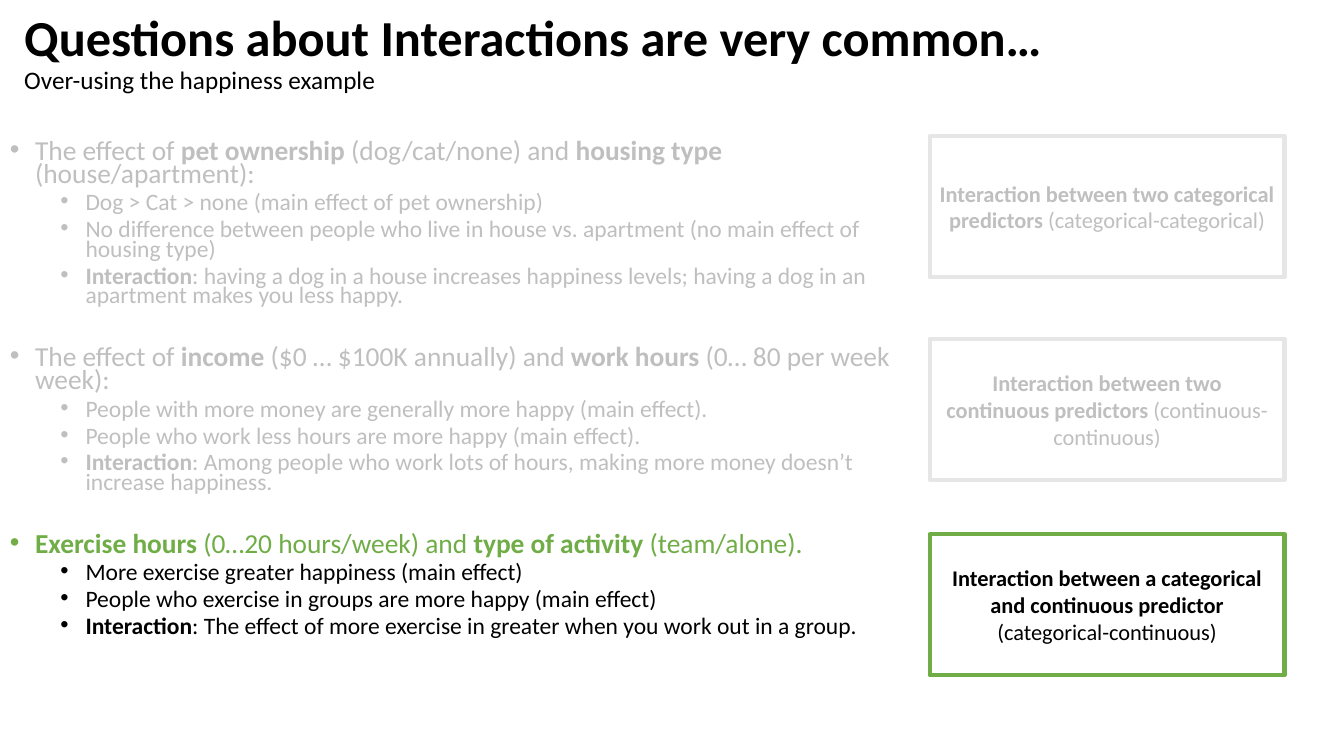
"""Builds a slide on interaction effects between pairs of predictors of happiness."""
from copy import deepcopy

from lxml import etree
from pptx import Presentation
from pptx.dml.color import RGBColor
from pptx.enum.shapes import MSO_SHAPE
from pptx.enum.text import MSO_ANCHOR, MSO_AUTO_SIZE, PP_ALIGN
from pptx.oxml.ns import qn
from pptx.util import Pt

RECT = MSO_SHAPE.RECTANGLE
MIDDLE = MSO_ANCHOR.MIDDLE
NO_FIT = MSO_AUTO_SIZE.NONE
LEFT, CENTER = PP_ALIGN.LEFT, PP_ALIGN.CENTER
PX = 9144
COLORS = {"black": "000000", "white": "FFFFFF", "muted": "BFBFBF",
          "border": "E7E6E6", "green": "70AD47"}

QUESTIONS = [
    {"head": "The effect of *pet ownership *(dog/cat/none) and *housing type *(house/apartment):",
     "points": ["Dog > Cat > none (main effect of pet ownership)",
                "No difference between people who live in house vs. apartment "
                "(no main effect of housing type)",
                "*Interaction*: having a dog in a house increases happiness levels; "
                "having a dog in an apartment makes you less happy."],
     "label": "*Interaction between two categorical predictors *(categorical-categorical)",
     "top": 135, "head_color": "muted", "color": "muted", "line": "border"},
    {"head": "The effect of *income* ($0 … $100K annually) and *work hours *(0… 80 per week week):",
     "points": ["People with more money are generally more happy (main effect).",
                "People who work less hours are more happy (main effect).",
                "*Interaction*: Among people who work lots of hours, "
                "making more money doesn’t increase happiness."],
     "label": "*Interaction between two continuous predictors *(continuous-continuous)",
     "top": 336, "head_color": "muted", "color": "muted", "line": "border"},
    {"head": "*Exercise hours *(0…20 hours/week) and *type of activity *(team/alone).",
     "points": ["More exercise greater happiness (main effect)",
                "People who exercise in groups are more happy (main effect)",
                "*Interaction*: The effect of more exercise in greater "
                "when you work out in a group."],
     "label": "*Interaction between a categorical and continuous predictor *(categorical-continuous)",
     "top": 530, "head_color": "green", "color": "black", "line": "green"},
]


def add_runs(p, text, size, color):
    """Add text to a paragraph, with the parts between asterisks in bold."""
    for i, part in enumerate(text.split("*")):
        if part:
            r = p.add_run()
            r.text = part
            r.font.color.rgb = RGBColor.from_string(COLORS[color])
            for name, value in {"name": "Calibri", "size": Pt(size), "bold": i % 2 == 1}.items():
                setattr(r.font, name, value)


def add_bullet(tf, text, level, size, color, before):
    """Add a bulleted paragraph to a text frame."""
    p = tf.add_paragraph() if tf.paragraphs[0].runs else tf.paragraphs[0]
    pPr = p._p.get_or_add_pPr()
    pPr.set("marL", str((25 + 50 * level) * PX))
    pPr.set("indent", str(-25 * PX))
    etree.SubElement(pPr, qn("a:buFont")).set("typeface", "Arial")
    etree.SubElement(pPr, qn("a:buChar")).set("char", "•")
    for name, value in {"level": level, "alignment": LEFT, "line_spacing": 0.7,
                        "space_before": Pt(before)}.items():
        setattr(p, name, value)
    add_runs(p, text, size, color)


prs = Presentation()
prs.slide_width, prs.slide_height = 1333 * PX, 750 * PX
s = prs.slides.add_slide(prs.slide_layouts[5])

title = s.shapes.title
title.left, title.top, title.width, title.height = 14 * PX, 0, 1233 * PX, 107 * PX
tf = title.text_frame
for name, value in {"word_wrap": True, "auto_size": NO_FIT, "vertical_anchor": MIDDLE}.items():
    setattr(tf, name, value)
p = tf.paragraphs[0]
p.alignment, p.line_spacing, p.space_before = LEFT, 0.9, Pt(0)
add_runs(p, "*Questions about Interactions are very common…*", 36, "black")
p.add_line_break()
p._p.find(qn("a:br")).append(deepcopy(p.runs[0]._r.rPr))
add_runs(p, "Over-using the happiness example", 18, "black")

body = s.shapes.add_textbox(0, 136 * PX, 894 * PX, 588 * PX).text_frame
body.word_wrap = True
for i, q in enumerate(QUESTIONS):
    add_bullet(body, q["head"], 0, 19.6, q["head_color"], 29 if i else 0)
    for point in q["points"]:
        add_bullet(body, point, 1, 16.8, q["color"], 5)

    sp = s.shapes.add_shape(RECT, 922 * PX, q["top"] * PX, 352 * PX, 140 * PX)
    sp.shadow.inherit = False
    sp.fill.solid()
    sp.fill.fore_color.rgb = RGBColor.from_string(COLORS["white"])
    sp.line.color.rgb = RGBColor.from_string(COLORS[q["line"]])
    sp.line.width = Pt(3)
    tf = sp.text_frame
    tf.word_wrap, tf.vertical_anchor = True, MIDDLE
    p = tf.paragraphs[0]
    p.alignment = CENTER
    add_runs(p, q["label"], 16, q["color"])

prs.save("out.pptx")
